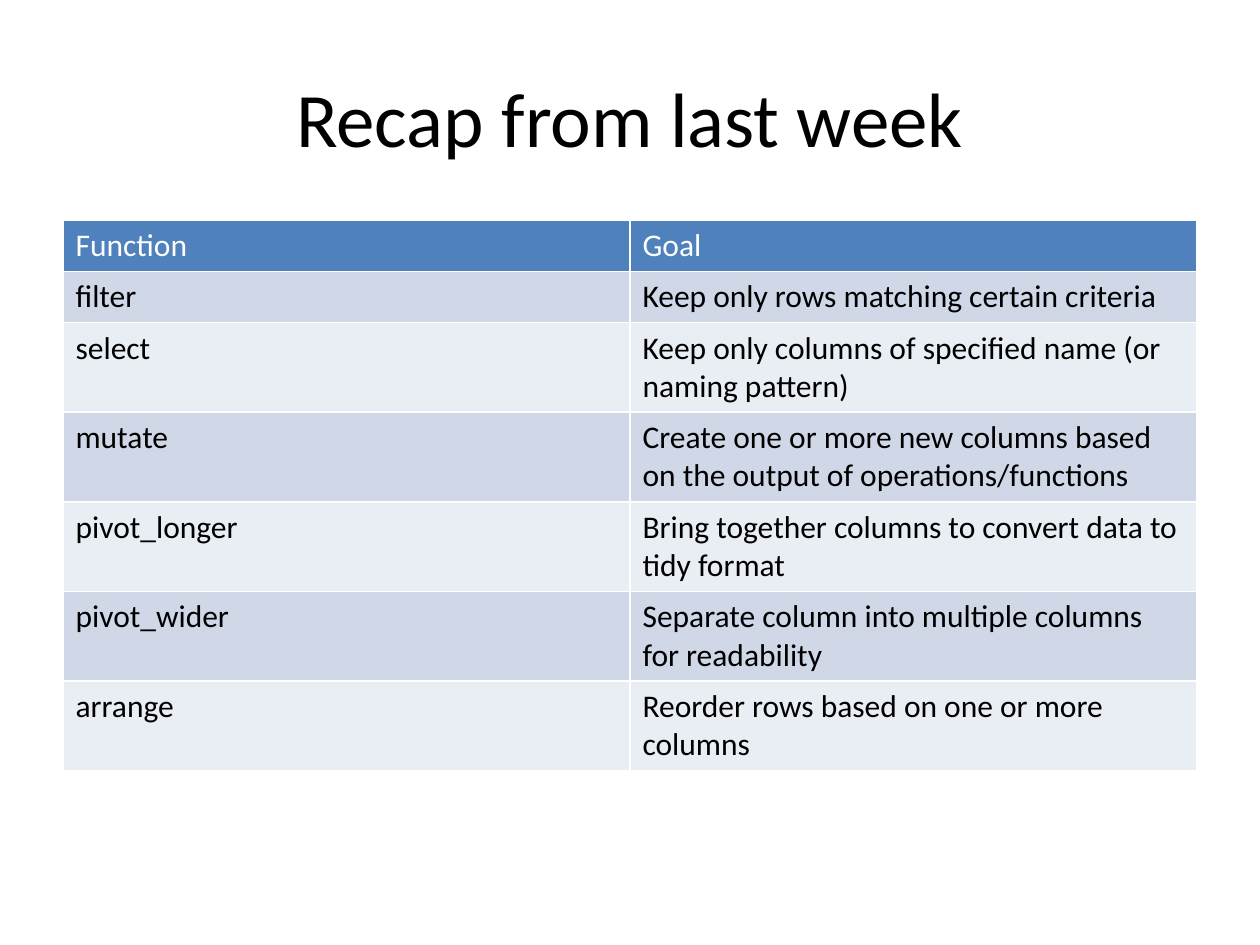
from pptx import Presentation
from pptx.dml.color import RGBColor as Rgb
from pptx.enum.text import MSO_ANCHOR as Anchor, PP_ALIGN as Align
from pptx.util import Inches, Pt

COLORS = {
    "text": "000000",
    "head": "4F81BD",
    "head_text": "FFFFFF",
    "odd": "D0D8E8",
    "even": "E9EDF4",
}

ROWS = [
    ("Function", "Goal"),
    ("filter", "Keep only rows matching certain criteria"),
    ("select", "Keep only columns of specified name (or naming pattern)"),
    ("mutate", "Create one or more new columns based on the output of operations/functions"),
    ("pivot_longer", "Bring together columns to convert data to tidy format"),
    ("pivot_wider", "Separate column into multiple columns for readability"),
    ("arrange", "Reorder rows based on one or more columns"),
]


class Deck:
    font = "Calibri"

    def __init__(self, wide, high):
        self.prs = Presentation()
        self.prs.slide_width, self.prs.slide_height = Inches(wide), Inches(high)
        self.slide = self.prs.slides.add_slide(self.prs.slide_layouts[5])

    def style(self, para, size, color):
        font = para.font
        font.name, font.size, font.bold = self.font, Pt(size), False
        font.color.rgb = Rgb.from_string(COLORS[color])

    def title(self, text, left, top, width, height):
        shape = self.slide.shapes.title
        shape.left, shape.top = Inches(left), Inches(top)
        shape.width, shape.height = Inches(width), Inches(height)
        frame = shape.text_frame
        frame.text = text
        frame.vertical_anchor = Anchor.MIDDLE
        para = frame.paragraphs[0]
        para.alignment = Align.CENTER
        self.style(para, 44, "text")

    def table(self, rows, left, top, width, step):
        """Add a banded table whose rows grow from the height step to fit their text."""
        grid = self.slide.shapes.add_table(
            len(rows), len(rows[0]), Inches(left), Inches(top),
            Inches(width), Inches(step * len(rows))).table
        for r, row in enumerate(rows):
            band = "head" if r == 0 else "odd" if r % 2 else "even"
            for c, text in enumerate(row):
                cell = grid.cell(r, c)
                cell.text = text
                cell.fill.solid()
                cell.fill.fore_color.rgb = Rgb.from_string(COLORS[band])
                self.style(cell.text_frame.paragraphs[0], 18,
                           "text" if r else "head_text")


def main():
    deck = Deck(10, 7.5)
    deck.title("Recap from last week", 0.5, 0.3, 9, 1.25)
    deck.table(ROWS, 0.5, 1.75, 9, 0.4)
    deck.prs.save("out.pptx")


if __name__ == "__main__":
    main()
